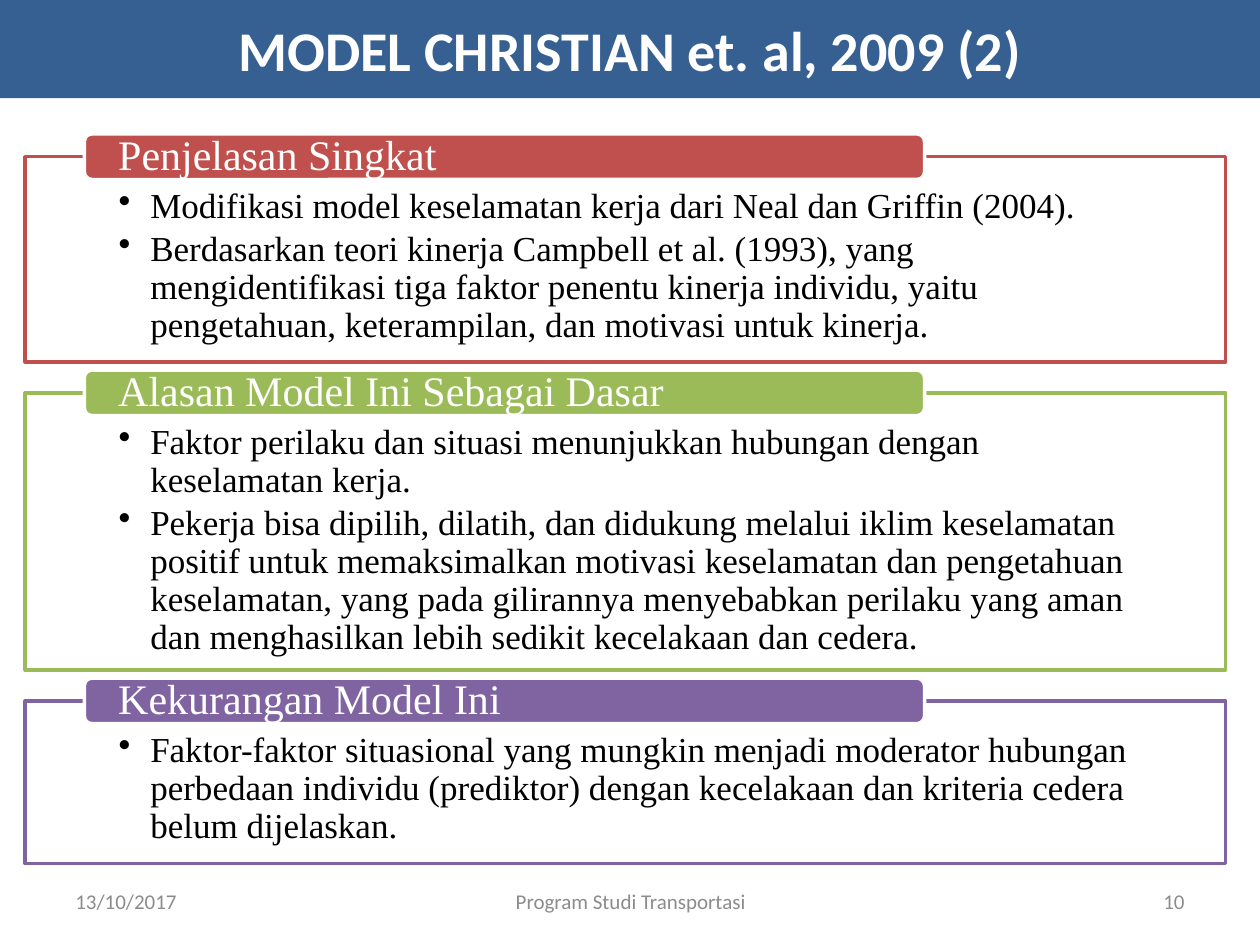
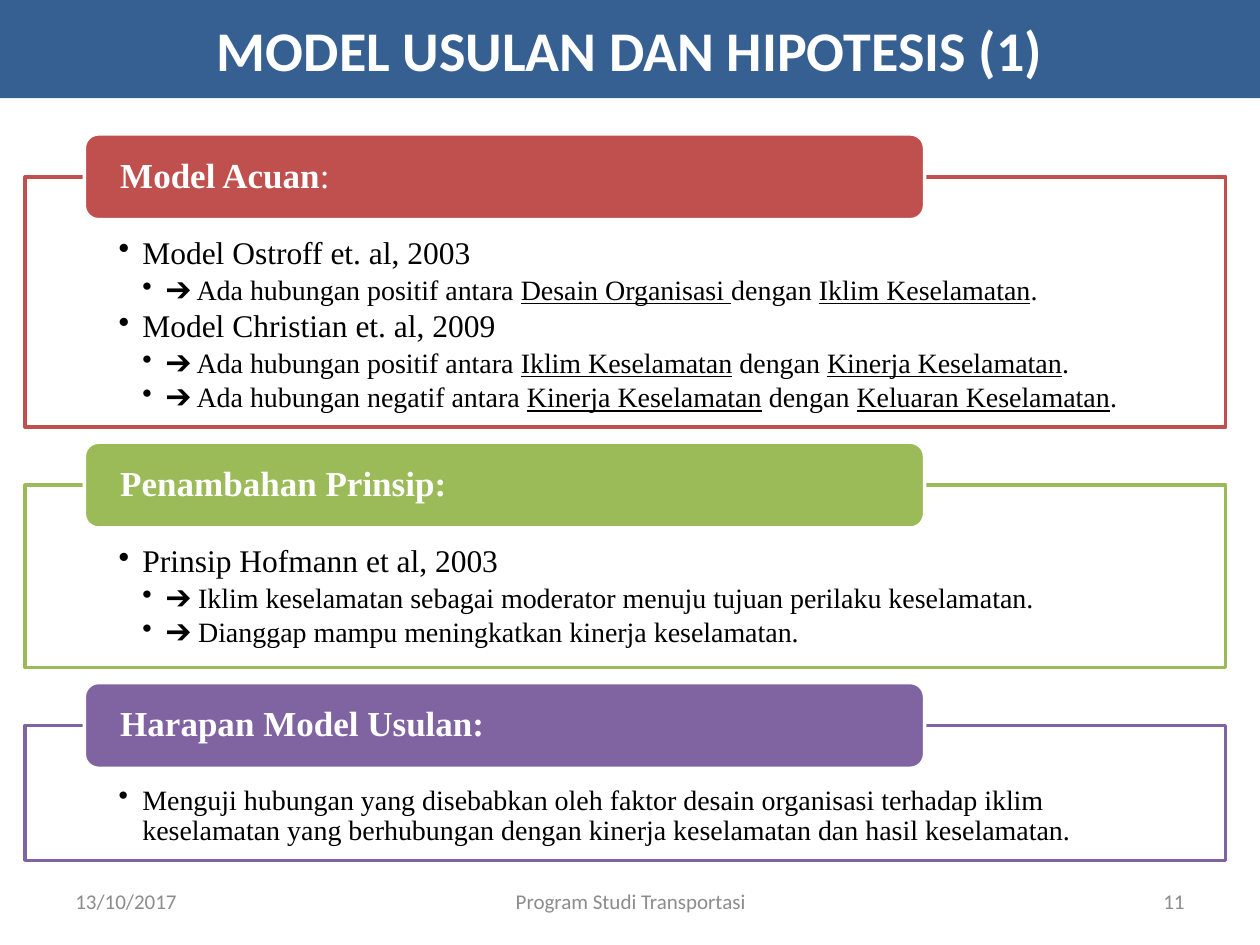
from lxml import etree
from pptx import Presentation
from pptx.dml.color import RGBColor
from pptx.enum.shapes import MSO_SHAPE
from pptx.enum.text import MSO_ANCHOR, PP_ALIGN
from pptx.oxml.ns import qn
from pptx.util import Cm, Pt

RECTANGLE, ROUNDED = MSO_SHAPE.RECTANGLE, MSO_SHAPE.ROUNDED_RECTANGLE
TOP, MIDDLE = MSO_ANCHOR.TOP, MSO_ANCHOR.MIDDLE
LEFT, CENTER, RIGHT = PP_ALIGN.LEFT, PP_ALIGN.CENTER, PP_ALIGN.RIGHT

WHITE = RGBColor(0xFF, 0xFF, 0xFF)
BLACK = RGBColor(0x00, 0x00, 0x00)
GRAY = RGBColor(0x8C, 0x8C, 0x8C)
BLUE = RGBColor(0x37, 0x60, 0x92)
RED = RGBColor(0xC0, 0x50, 0x4D)
GREEN = RGBColor(0x9B, 0xBB, 0x59)
PURPLE = RGBColor(0x80, 0x64, 0xA2)
SECTION_COLORS = (RED, GREEN, PURPLE)

SANS, SERIF = "Calibri", "Times New Roman"

# Content: text between bars is emphasised (bold in headings, underlined in bullets).
# A section is (heading, frame height in cm, bullets); a bullet is (level, size, text).
PAGES = [
    {
        "title": "MODEL CHRISTIAN et. al, 2009 (2)", "number": "10",
        "tab_height": 0.92, "gap": 0.16, "heading_size": 24,
        "body_top": 0.64, "indent": 0.64,
        "sections": [
            ("Penjelasan Singkat", 4.14, [
                (1, 20, "Modifikasi model keselamatan kerja dari Neal dan Griffin (2004)."),
                (1, 20, "Berdasarkan teori kinerja Campbell et al. (1993), yang "
                        "mengidentifikasi tiga faktor penentu kinerja individu, yaitu "
                        "pengetahuan, keterampilan, dan motivasi untuk kinerja."),
            ]),
            ("Alasan Model Ini Sebagai Dasar", 5.59, [
                (1, 20, "Faktor perilaku dan situasi menunjukkan hubungan dengan "
                        "keselamatan kerja."),
                (1, 20, "Pekerja bisa dipilih, dilatih, dan didukung melalui iklim "
                        "keselamatan positif untuk memaksimalkan motivasi keselamatan dan "
                        "pengetahuan keselamatan, yang pada gilirannya menyebabkan perilaku "
                        "yang aman dan menghasilkan lebih sedikit kecelakaan dan cedera."),
            ]),
            ("Kekurangan Model Ini", 3.28, [
                (1, 20, "Faktor-faktor situasional yang mungkin menjadi moderator hubungan "
                        "perbedaan individu (prediktor) dengan kecelakaan dan kriteria "
                        "cedera belum dijelaskan."),
            ]),
        ],
    },
    {
        "title": "MODEL USULAN DAN HIPOTESIS (1)", "number": "11",
        "tab_height": 1.73, "gap": 0.3, "heading_size": 20,
        "body_top": 1.22, "indent": 0.48,
        "sections": [
            ("|Model Acuan|:", 5.05, [
                (1, 18, "Model Ostroff et. al, 2003"),
                (2, 16, "➔ Ada hubungan positif antara |Desain Organisasi |dengan "
                        "|Iklim Keselamatan|."),
                (1, 18, "Model Christian et. al, 2009"),
                (2, 16, "➔ Ada hubungan positif antara |Iklim Keselamatan| dengan "
                        "|Kinerja Keselamatan|."),
                (2, 16, "➔ Ada hubungan negatif antara |Kinerja Keselamatan| dengan "
                        "|Keluaran Keselamatan|."),
            ]),
            ("|Penambahan Prinsip:|", 3.68, [
                (1, 18, "Prinsip Hofmann et al, 2003"),
                (2, 16, "➔ Iklim keselamatan sebagai moderator menuju tujuan perilaku "
                        "keselamatan."),
                (2, 16, "➔ Dianggap mampu meningkatkan kinerja keselamatan."),
            ]),
            ("|Harapan Model Usulan:|", 2.72, [
                (1, 16, "Menguji hubungan yang disebabkan oleh faktor desain organisasi "
                        "terhadap iklim keselamatan yang berhubungan dengan kinerja "
                        "keselamatan dan hasil keselamatan."),
            ]),
        ],
    },
]
DATE, PROGRAM = "13/10/2017", "Program Studi Transportasi"

# Shared layout in cm
PAGE_WIDTH, PAGE_HEIGHT = 25.4, 19.05
BAND_HEIGHT = 1.98
FIRST_TAB_TOP = 2.7
FRAME_LEFT, FRAME_WIDTH, FRAME_MARGIN = 0.51, 24.2, 1.88
TAB_LEFT, TAB_WIDTH, TAB_MARGIN = 1.7, 16.94, 0.64
FOOTER_TOP, FOOTER_HEIGHT = 17.65, 1.02


def set_frame(box, **values):
    for name, value in {"word_wrap": True, **values}.items():
        setattr(box.text_frame, name, value)


def add_block(page, kind, place, fill, line=None):
    block = page.shapes.add_shape(kind, *map(Cm, place))
    block.shadow.inherit = False
    block.fill.solid()
    block.fill.fore_color.rgb = fill
    if line is None:
        block.line.fill.background()
    else:
        block.line.color.rgb = line
        block.line.width = Pt(2)
    return block


def write(para, text, color, emphasis="bold", align=LEFT, **font):
    """Write spans split at bars; every second span gets the emphasis."""
    para.alignment = align
    for position, piece in enumerate(text.split("|")):
        if not piece:
            continue
        span = para.add_run()
        span.text = piece
        span.font.color.rgb = color
        for name, value in {**font, emphasis: position % 2 == 1}.items():
            setattr(span.font, name, value)


def add_bullet(para, level, indent):
    para.level = level
    properties = para._p.get_or_add_pPr()
    properties.set("marL", str(Cm(level * indent)))
    properties.set("indent", str(-Cm(indent)))
    etree.SubElement(properties, qn("a:buChar")).set("char", "•")


def add_section(page, top, heading, height, bullets, color, style):
    tab_height = style["tab_height"]

    # Frame with bullets; its top edge runs through the middle of the tab
    frame = add_block(page, RECTANGLE,
                      (FRAME_LEFT, top + tab_height / 2, FRAME_WIDTH, height), WHITE, color)
    fill_color = frame.fill._xPr.find(qn("a:solidFill"))[0]
    etree.SubElement(fill_color, qn("a:alpha")).set("val", "90000")
    set_frame(frame, vertical_anchor=TOP, margin_left=Cm(FRAME_MARGIN),
              margin_right=Cm(FRAME_MARGIN), margin_top=Cm(style["body_top"]),
              margin_bottom=Cm(0.35))
    for index, (level, size, text) in enumerate(bullets):
        paras = frame.text_frame
        para = paras.add_paragraph() if index else paras.paragraphs[0]
        para.line_spacing = 0.9
        para.space_after = Pt(0.15 * size)
        add_bullet(para, level, style["indent"])
        write(para, text, BLACK, "underline", name=SERIF, size=Pt(size))

    # Heading tab
    tab = add_block(page, ROUNDED, (TAB_LEFT, top, TAB_WIDTH, tab_height), color, WHITE)
    set_frame(tab, vertical_anchor=MIDDLE, margin_left=Cm(TAB_MARGIN),
              margin_right=Cm(TAB_MARGIN), margin_top=0, margin_bottom=0)
    para = tab.text_frame.paragraphs[0]
    para.line_spacing = 0.9
    write(para, heading, WHITE, name=SERIF, size=Pt(style["heading_size"]))


def add_page(deck, content):
    page = deck.slides.add_slide(deck.slide_layouts[6])

    # Footer
    footers = [(1.27, 5.92, DATE, LEFT), (8.69, 8.05, PROGRAM, CENTER),
               (18.21, 5.92, content["number"], RIGHT)]
    for left, width, text, align in footers:
        box = page.shapes.add_textbox(Cm(left), Cm(FOOTER_TOP), Cm(width), Cm(FOOTER_HEIGHT))
        set_frame(box, vertical_anchor=MIDDLE)
        write(box.text_frame.paragraphs[0], text, GRAY, align=align, name=SANS, size=Pt(12))

    # Title band
    band = add_block(page, RECTANGLE, (0, 0, PAGE_WIDTH, BAND_HEIGHT), BLUE)
    set_frame(band, vertical_anchor=MIDDLE)
    write(band.text_frame.paragraphs[0], f"|{content['title']}|", WHITE,
          align=CENTER, name=SANS, size=Pt(32))

    # Stacked sections
    top = FIRST_TAB_TOP
    for (heading, height, bullets), color in zip(content["sections"], SECTION_COLORS):
        add_section(page, top, heading, height, bullets, color, content)
        top += content["tab_height"] / 2 + height + content["gap"]


def main():
    deck = Presentation()
    deck.slide_width, deck.slide_height = Cm(PAGE_WIDTH), Cm(PAGE_HEIGHT)
    for content in PAGES:
        add_page(deck, content)
    deck.save("out.pptx")


if __name__ == "__main__":
    main()
